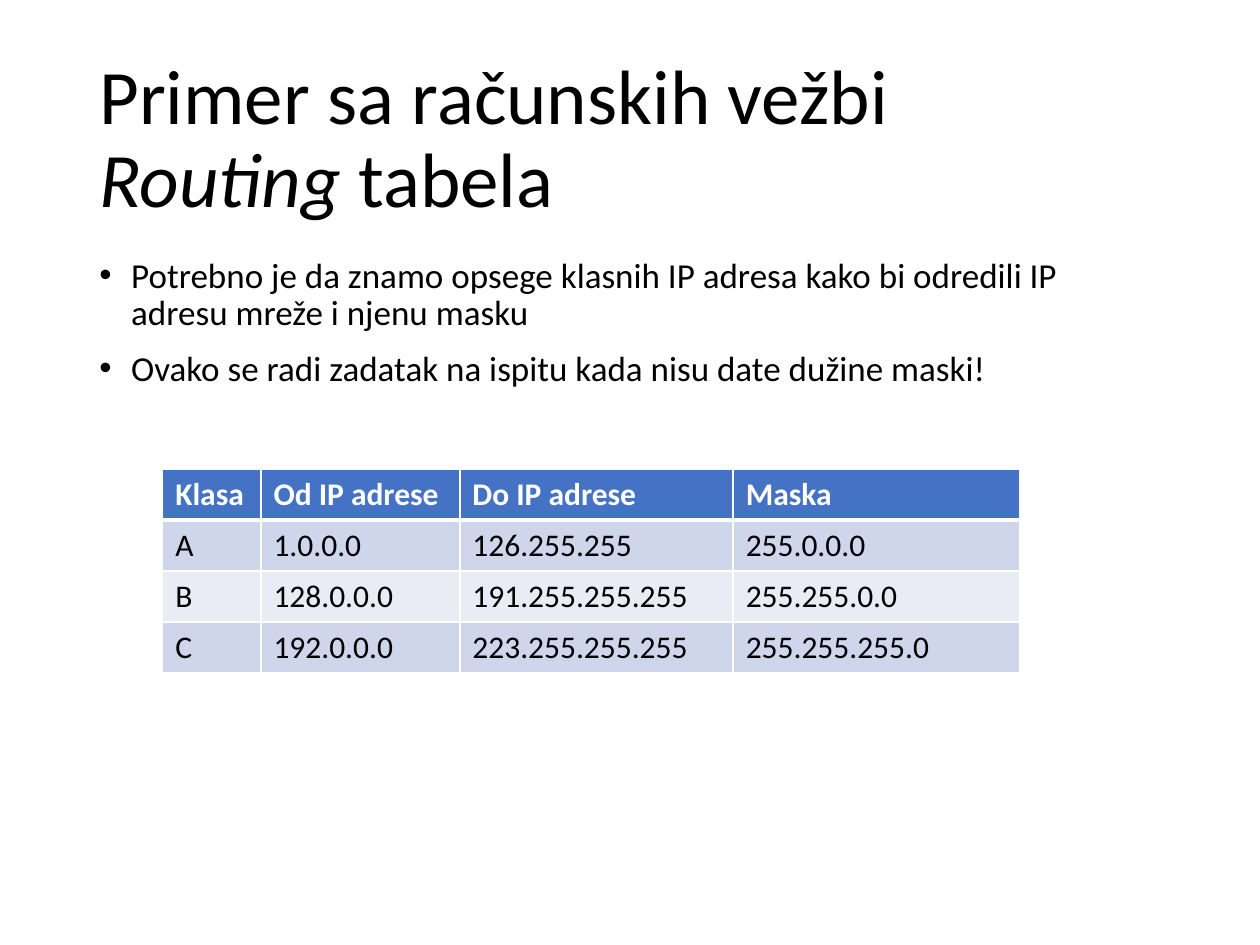
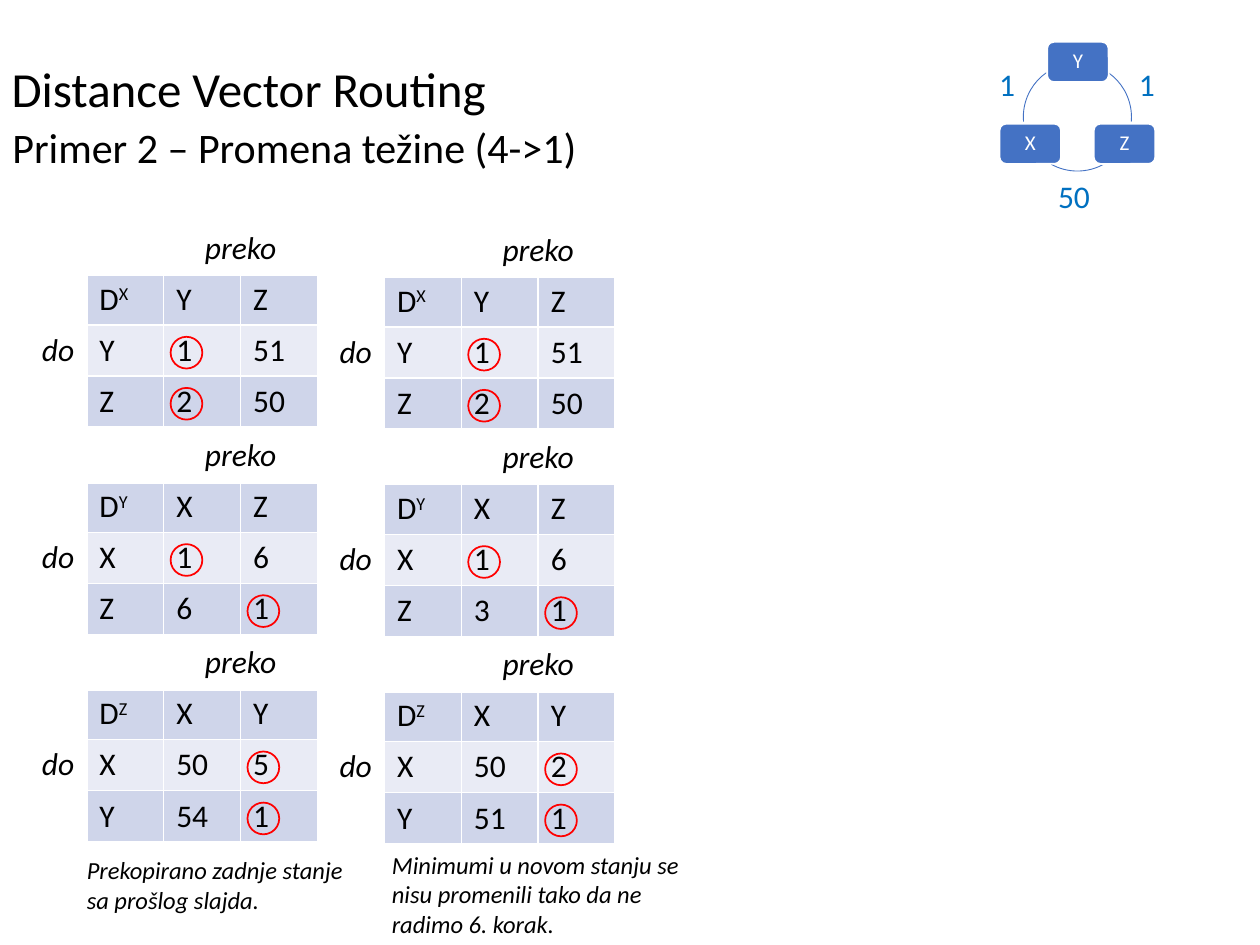
import pptx
import pptx.util
import pptx.dml.color
import pptx.enum.shapes
import pptx.enum.text
import pptx.oxml
import pptx.oxml.ns

Cm, Pt = pptx.util.Cm, pptx.util.Pt
SHAPE = pptx.enum.shapes.MSO_SHAPE
ALIGN = pptx.enum.text.PP_ALIGN
MIDDLE = pptx.enum.text.MSO_ANCHOR.MIDDLE

FONT = "Calibri"
BLACK, WHITE, BLUE = "000000", "FFFFFF", "4472C4"
WEIGHT_BLUE, RED = "0070C0", "FF0000"
BANDS = ("CFD5EA", "E9EBF5")
ROW_HEIGHT = 1.03
ITALIC = {"italic": True}
SUPERSCRIPT = {"baseline": 30000}
TITLE_SIZE = (21.9, 3.68)

# Content: boxes are left, top, width, height in centimetres
CLASSES_TITLE = [("Primer sa računskih vežbi", {}), ("\n", {}),
                 ("Routing ", ITALIC), ("tabela", {})]
CLASSES_NOTES = [
    "Potrebno je da znamo opsege klasnih IP adresa kako bi odredili IP adresu mreže i njenu masku",
    "Ovako se radi zadatak na ispitu kada nisu date dužine maski!",
]
CLASSES_COLUMNS = (1.98, 4.01, 5.51, 5.77)
CLASSES_ROWS = [
    ("Klasa", "Od IP adrese", "Do IP adrese", "Maska"),
    ("A", "1.0.0.0", "126.255.255", "255.0.0.0"),
    ("B", "128.0.0.0", "191.255.255.255", "255.255.0.0"),
    ("C", "192.0.0.0", "223.255.255.255", "255.255.255.0"),
]

ROUTING_TITLE = "Distance Vector Routing"
ROUTING_SUBTITLE = "Primer 2 – Promena težine (4->1)"
NODE_SIZE = (1.24, 0.81)
NODE_CENTERS = {"Y": (21.73, 1.25), "Z": (22.67, 2.9), "X": (20.77, 2.9)}
RING_BOX = (20.63, 1.27, 2.18, 2.18)
RING_ARCS = [(305, 5), (60, 119), (175, 235)]  # start and end in degrees
WEIGHTS = [("1", (19.89, 1.19, 0.91, 1.02)),
           ("1", (22.71, 1.19, 0.91, 1.02)),
           ("50", (21.08, 3.45, 1.27, 1.02))]

ROUTING_COLUMNS = (1.35, 1.55, 1.55, 1.55)
ROUTING_STEP = 4.18
MARK_SIZE, MARK_OFFSET = 0.64, (0.14, 0.24)
# Each table: node, neighbours it goes through, costs by destination
ROUTING_STATES = [
    {"corner": (0.4, 4.49),
     "caption": [("Prekopirano zadnje stanje", ITALIC), ("\n", {}),
                 ("sa prošlog slajda.", ITALIC)],
     "caption_box": (1.5, 17.12, 6.55, 1.45),
     "tables": [("X", "YZ", {"Y": (1, 51), "Z": (2, 50)}),
                ("Y", "XZ", {"X": (1, 6), "Z": (6, 1)}),
                ("Z", "XY", {"X": (50, 5), "Y": (54, 1)})]},
    {"corner": (6.4, 4.53),
     "caption": [("Minimumi u novom stanju se nisu promenili tako da ne radimo 6. korak.", ITALIC)],
     "caption_box": (7.65, 17.01, 6.55, 2.05),
     "tables": [("X", "YZ", {"Y": (1, 51), "Z": (2, 50)}),
                ("Y", "XZ", {"X": (1, 6), "Z": (3, 1)}),
                ("Z", "XY", {"X": (50, 2), "Y": (51, 1)})]},
]


def color(hex_value):
    return pptx.dml.color.RGBColor.from_string(hex_value)


def set_all(target, values):
    for name, value in values.items():
        setattr(target, name, value)


def lengths(box):
    return [Cm(value) for value in box]


def write(paragraph, content, size=18, ink=BLACK, **layout):
    """Fill a paragraph from a string or from (text, font values) pairs."""
    set_all(paragraph, layout)
    for text, style in [(content, {})] if isinstance(content, str) else content:
        if text == "\n":
            paragraph.add_line_break()
            continue
        run = paragraph.add_run()
        run.text = text
        values = {"name": FONT, "size": Pt(size), "bold": False, "italic": False, **style}
        baseline = values.pop("baseline", None)
        set_all(run.font, values)
        run.font.color.rgb = color(ink)
        if baseline:
            run.font._element.set("baseline", str(baseline))


def place(shape, box):
    set_all(shape, dict(zip(("left", "top", "width", "height"), lengths(box))))


def add_title(slide, content, box, size):
    place(slide.shapes.title, box)
    frame = slide.shapes.title.text_frame
    set_all(frame, {"vertical_anchor": MIDDLE, "word_wrap": True,
                    "auto_size": pptx.enum.text.MSO_AUTO_SIZE.NONE})
    write(frame.paragraphs[0], content, size, alignment=ALIGN.LEFT, line_spacing=0.9)


def add_text(slide, content, box, size=18, ink=BLACK, anchor=None, **layout):
    frame = slide.shapes.add_textbox(*lengths(box)).text_frame
    set_all(frame, {"word_wrap": True, "vertical_anchor": anchor})
    write(frame.paragraphs[0], content, size, ink, **layout)


def add_outline(slide, kind, box, line, width, fill=None):
    shape = slide.shapes.add_shape(kind, *lengths(box))
    shape.shadow.inherit = False
    shape.line.color.rgb = color(line)
    shape.line.width = Pt(width)
    if fill:
        shape.fill.solid()
        shape.fill.fore_color.rgb = color(fill)
    else:
        shape.fill.background()
    return shape


def style_cell(cell, fill, bottom=1):
    """Give a cell white borders and a fill; None leaves it clear."""
    properties = cell._tc.get_or_add_tcPr()
    for side, width in (("L", 1), ("R", 1), ("T", 1), ("B", bottom)):
        properties.append(pptx.oxml.parse_xml(
            f'<a:ln{side} {pptx.oxml.ns.nsdecls("a")} w="{Pt(width)}"><a:solidFill>'
            f'<a:srgbClr val="{WHITE}"/></a:solidFill></a:ln{side}>'))
    if fill:
        cell.fill.solid()
        cell.fill.fore_color.rgb = color(fill)
    else:
        cell.fill.background()


def add_grid(slide, corner, columns, row_count):
    box = (*corner, sum(columns), row_count * ROW_HEIGHT)
    table = slide.shapes.add_table(row_count, len(columns), *lengths(box)).table
    for column, width in zip(table.columns, columns):
        column.width = Cm(width)
    for row in table.rows:
        row.height = Cm(ROW_HEIGHT)
    return table


def add_classes_table(slide):
    table = add_grid(slide, (3.28, 9.45), CLASSES_COLUMNS, len(CLASSES_ROWS))
    for r, row in enumerate(CLASSES_ROWS):
        header = r == 0
        for c, text in enumerate(row):
            cell = table.cell(r, c)
            style_cell(cell, BLUE if header else BANDS[(r - 1) % 2], 3 if header else 1)
            write(cell.text_frame.paragraphs[0], [(text, {"bold": header})],
                  ink=WHITE if header else BLACK)


def add_routing_table(slide, corner, node, neighbours, costs):
    """Draw one distance table and ring the lowest cost in each row."""
    table = add_grid(slide, corner, ROUTING_COLUMNS, 4)
    table.first_row = False
    for r in range(4):
        for c in range(4):
            style_cell(table.cell(r, c), BANDS[(r - 1) % 2] if r and c else None,
                       1 if r else 3)
    for first, last in (((0, 0), (1, 0)), ((0, 2), (0, 3)), ((2, 0), (3, 0))):
        table.cell(*first).merge(table.cell(*last))

    def fill_cell(r, c, content, **layout):
        write(table.cell(r, c).text_frame.paragraphs[0], content, **layout)

    fill_cell(0, 2, [("preko", ITALIC)], alignment=ALIGN.CENTER)
    fill_cell(2, 0, [("do", ITALIC)], alignment=ALIGN.RIGHT)
    fill_cell(1, 1, [("D", {}), (node, SUPERSCRIPT)])
    for c, neighbour in enumerate(neighbours, 2):
        fill_cell(1, c, neighbour)
    for r, (destination, row) in enumerate(costs.items(), 2):
        fill_cell(r, 1, destination)
        for c, cost in enumerate(row, 2):
            fill_cell(r, c, str(cost))
        lowest = 2 + row.index(min(row))
        left = corner[0] + sum(ROUTING_COLUMNS[:lowest]) + MARK_OFFSET[0]
        top = corner[1] + r * ROW_HEIGHT + MARK_OFFSET[1]
        add_outline(slide, SHAPE.OVAL, (left, top, MARK_SIZE, MARK_SIZE), RED, 1)


def add_network(slide):
    for angles in RING_ARCS:
        arc = add_outline(slide, SHAPE.ARC, RING_BOX, BLUE, 0.5)
        for index, angle in enumerate(angles):
            arc.adjustments[index] = angle * 0.6  # 60000 units a degree, over 100000
    width, height = NODE_SIZE
    for name, (x, y) in NODE_CENTERS.items():
        box = (x - width / 2, y - height / 2, width, height)
        node = add_outline(slide, SHAPE.ROUNDED_RECTANGLE, box, WHITE, 1, BLUE)
        margins = {f"margin_{side}": Cm(0.13) for side in ("left", "top", "right", "bottom")}
        set_all(node.text_frame, {"vertical_anchor": MIDDLE, **margins})
        write(node.text_frame.paragraphs[0], name, 12, WHITE,
              alignment=ALIGN.CENTER, line_spacing=0.9)
    for text, box in WEIGHTS:
        add_text(slide, text, box, ink=WEIGHT_BLUE)


def build_classes_slide(presentation):
    slide = presentation.slides.add_slide(presentation.slide_layouts[1])
    add_title(slide, CLASSES_TITLE, (1.75, 1.01, *TITLE_SIZE), 44)
    body = slide.placeholders[1]
    place(body, (1.75, 5.07, 21.9, 12.09))
    body.text_frame.auto_size = pptx.enum.text.MSO_AUTO_SIZE.NONE
    for index, note in enumerate(CLASSES_NOTES):
        frame = body.text_frame
        paragraph = frame.add_paragraph() if index else frame.paragraphs[0]
        write(paragraph, note, 20, line_spacing=0.9, space_before=Pt(10))
        properties = paragraph._p.get_or_add_pPr()
        properties.set("marL", str(Cm(0.64)))
        properties.set("indent", str(Cm(-0.64)))
    add_classes_table(slide)


def build_routing_slide(presentation):
    slide = presentation.slides.add_slide(presentation.slide_layouts[5])
    add_title(slide, ROUTING_TITLE, (-0.02, 0, *TITLE_SIZE), 28)
    add_network(slide)
    add_text(slide, ROUTING_SUBTITLE, (0, 1.19, *TITLE_SIZE), 24,
             anchor=MIDDLE, line_spacing=0.9)
    for state in ROUTING_STATES:
        left, top = state["corner"]
        for index, entry in enumerate(state["tables"]):
            add_routing_table(slide, (left, top + index * ROUTING_STEP), *entry)
        add_text(slide, state["caption"], state["caption_box"], 14)


def main():
    presentation = pptx.Presentation()
    set_all(presentation, {"slide_width": Cm(25.4), "slide_height": Cm(19.05)})
    build_classes_slide(presentation)
    build_routing_slide(presentation)
    presentation.save("out.pptx")


if __name__ == "__main__":
    main()
